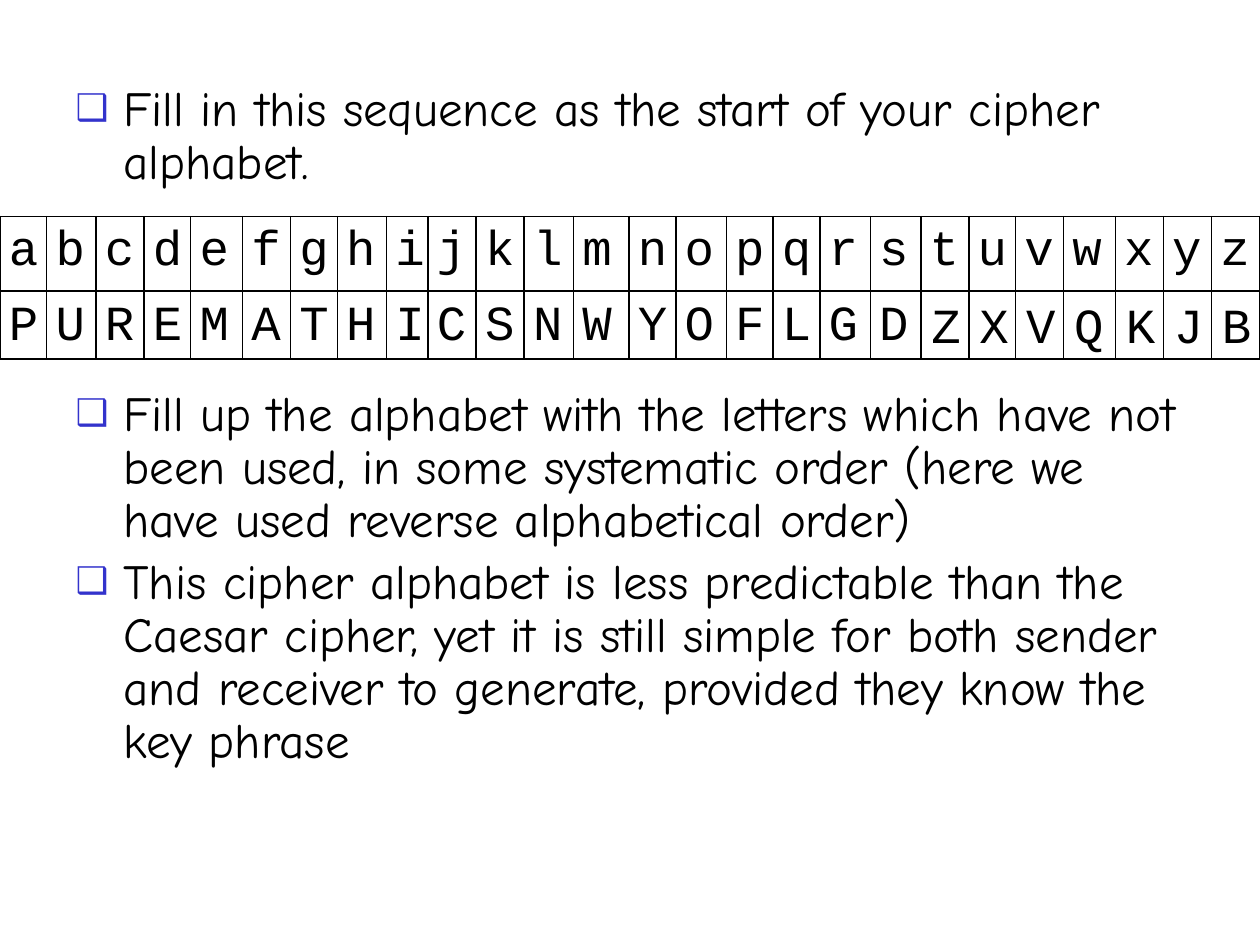
from lxml import etree
from pptx import Presentation
from pptx.dml.color import RGBColor
from pptx.enum.text import MSO_ANCHOR
from pptx.oxml.ns import qn
from pptx.util import Inches, Pt

TOP, BOTTOM = MSO_ANCHOR.TOP, MSO_ANCHOR.BOTTOM
COLORS = {"ink": "000000", "bullet": "3333CC"}
BODY_FONT, CODE_FONT, SIZE = "Comic Neue", "Courier New", 28
NO_STYLE = "{2D5ABB26-0587-4C30-8999-92F81FD0307C}"

# Text and the space before it in points; the second leaves room for the table
POINTS = [
    ("Fill in this sequence as the start of your cipher alphabet.", 0),
    ("Fill up the alphabet with the letters which have not been used, in some "
     "systematic order (here we have used reverse alphabetical order)", 113.5),
    ("This cipher alphabet is less predictable than the Caesar cipher, yet it "
     "is still simple for both sender and receiver to generate, provided they "
     "know the key phrase", 5.6),
]
PLAIN = "abcdefghijklmnopqrstuvwxyz"
KEYED = "PUREMATHICSNWYOFLGD"
REST = "ZXVQKJB"
WIDTHS = [0.37, 0.39, 0.38, 0.37, 0.41, 0.38, 0.37, 0.39, 0.33, 0.38, 0.38,
          0.39, 0.44, 0.37, 0.4, 0.37, 0.37, 0.4, 0.4, 0.38, 0.37, 0.38,
          0.41, 0.38, 0.38, 0.38]
SLIDE_W = 10


def style(para, font):
    for run in para.runs:
        run.font.name = font
        run.font.size = Pt(SIZE)
        run.font.color.rgb = RGBColor.from_string(COLORS["ink"])


def add_bullet(para):
    props = para._p.get_or_add_pPr()
    props.set("marL", str(Inches(0.38)))
    props.set("indent", str(-Inches(0.38)))
    color = etree.SubElement(props, qn("a:buClr"))
    etree.SubElement(color, qn("a:srgbClr"), val=COLORS["bullet"])
    etree.SubElement(props, qn("a:buSzPct"), val="75000")
    etree.SubElement(props, qn("a:buChar"), char="❑")


def add_border(cell):
    props = cell._tc.get_or_add_tcPr()
    for i, side in enumerate(("lnL", "lnR", "lnT", "lnB")):
        line = etree.Element(qn("a:" + side), w=str(Pt(1)))
        fill = etree.SubElement(line, qn("a:solidFill"))
        etree.SubElement(fill, qn("a:srgbClr"), val=COLORS["ink"])
        props.insert(i, line)


def add_grid(slide, rows, widths, top, heights, pad, anchor, lined):
    """Place a table of single letters flush with the right slide edge."""
    wide = sum(widths)
    frame = slide.shapes.add_table(
        len(rows), len(widths), Inches(SLIDE_W - wide), Inches(top),
        Inches(wide), Inches(sum(heights)))
    table = frame.table
    table.first_row = table.horz_banding = False
    table._tbl.tblPr.find(qn("a:tableStyleId")).text = NO_STYLE
    for col, width in zip(table.columns, widths):
        col.width = Inches(width)
    for r, (row, height) in enumerate(zip(rows, heights)):
        table.rows[r].height = Inches(height)
        for c in range(len(widths)):
            cell = table.cell(r, c)
            cell.fill.background()
            cell.margin_left = cell.margin_right = Inches(pad)
            cell.margin_top = cell.margin_bottom = 0
            cell.vertical_anchor = anchor
            if lined:
                add_border(cell)
            if c < len(row):
                para = cell.text_frame.paragraphs[0]
                para.text = row[c]
                para.line_spacing = 1.15
                para.space_after = Pt(10)
                style(para, CODE_FONT)


def main():
    prs = Presentation()
    prs.slide_width, prs.slide_height = Inches(SLIDE_W), Inches(7.5)
    slide = prs.slides.add_slide(prs.slide_layouts[1])
    title = slide.shapes.title._element
    title.getparent().remove(title)

    body = slide.placeholders[1]
    body.left, body.top = Inches(0.5), Inches(0.62)
    body.width, body.height = Inches(9), Inches(6.41)
    frame = body.text_frame
    for i, (text, gap) in enumerate(POINTS):
        para = frame.add_paragraph() if i else frame.paragraphs[0]
        para.text = text
        add_bullet(para)
        para.line_spacing = 0.9
        para.space_before = Pt(gap)
        style(para, BODY_FONT)

    scale = SLIDE_W / sum(WIDTHS)
    widths = [w * scale for w in WIDTHS]
    add_grid(slide, [PLAIN, KEYED], widths, 1.72, [0.59, 0.54], 0.07, TOP, True)
    add_grid(slide, [REST], widths[-len(REST):], 2.27, [0.57], 0.08, BOTTOM, False)
    prs.save("out.pptx")


if __name__ == "__main__":
    main()
